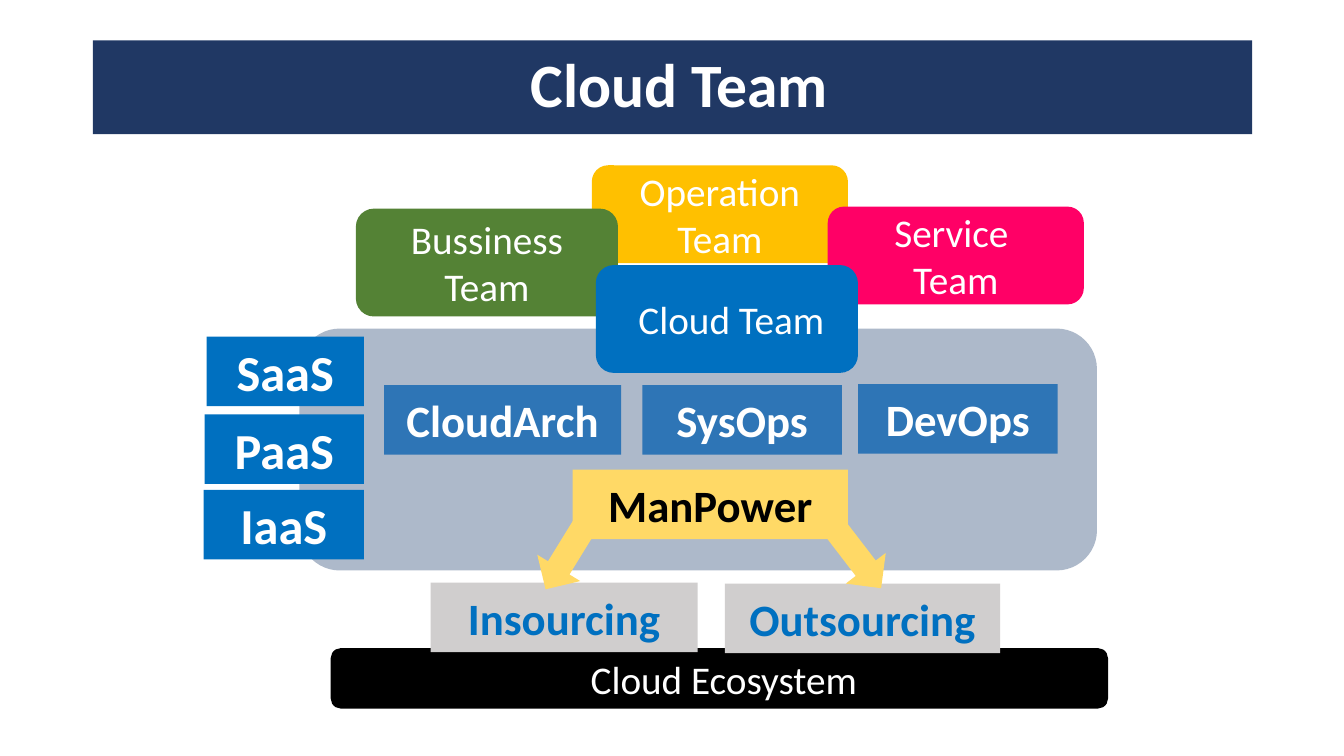
from pptx import Presentation
from pptx.dml.color import RGBColor
from pptx.enum.shapes import MSO_SHAPE
from pptx.enum.text import MSO_ANCHOR, PP_ALIGN
from pptx.util import Inches, Pt

RECT = MSO_SHAPE.RECTANGLE
ROUND = MSO_SHAPE.ROUNDED_RECTANGLE
ARROW = MSO_SHAPE.DOWN_ARROW
MIDDLE = MSO_ANCHOR.MIDDLE
CENTER = PP_ALIGN.CENTER


class Theme:
    font = "Calibri"
    navy, blue, steel = "203864", "0070C0", "2E75B6"
    amber, sand, green, pink = "FFC000", "FFD966", "548235", "FF0066"
    panel, grey, black, white = "ADB9CA", "D0CECE", "000000", "FFFFFF"
    title_size, service_size, role_size, team_size = 44, 36, 32, 28


# Content: text, then left, top, width, height in inches
TITLE = " Cloud Team"
TITLE_BOX = (0.92, 0.4, 11.5, 0.93)
ECOSYSTEM = (" Cloud Ecosystem", (3.28, 6.43, 7.71, 0.6))
OPERATION = ("Operation\nTeam", (5.87, 1.64, 2.54, 0.97))
PANEL_BOX = (2.97, 3.26, 7.91, 2.4)
FRONT_TEAMS = [
    ("Service \nTeam", (8.21, 2.05, 2.54, 0.97), Theme.pink),
    ("Bussiness Team", (3.53, 2.07, 2.6, 1.07), Theme.green),
    (" Cloud Team", (5.91, 2.63, 2.6, 1.07), Theme.blue),
]

# Labels of one height: text, left, top, width
LABEL_HEIGHT = 0.69
SERVICES_RIGHT = 3.61
SERVICES = [("IaaS", 2.02, 4.86), ("PaaS", 2.03, 4.11), ("SaaS", 2.05, 3.34)]
ROLES = [("CloudArch", 3.81, 3.82, 2.35), ("DevOps", 8.51, 3.81, 1.98),
         ("SysOps", 6.37, 3.82, 1.98)]
SOURCING = [("Insourcing", 4.27, 5.78, 2.65), ("Outsourcing", 7.19, 5.79, 2.73)]
MANPOWER = ("ManPower", 5.68, 4.66, 2.73)
ARROWS = [((5.35, 5.18, 0.5, 0.72), 31.6), ((8.27, 5.19, 0.5, 0.72), 322.5)]


def color(code):
    return RGBColor.from_string(code)


def write(shape, text, size, ink=Theme.white, bold=False):
    frame = shape.text_frame
    frame.word_wrap = True
    frame.vertical_anchor = MIDDLE
    para = frame.paragraphs[0]
    para.text = text
    para.alignment = CENTER
    for span in para.runs:
        span.font.name = Theme.font
        span.font.size = Pt(size)
        span.font.bold = bold
        span.font.color.rgb = color(ink)
    return para


def add_box(page, kind, place, fill, text="", rotation=0, **text_format):
    box = page.shapes.add_shape(kind, *map(Inches, place))
    box.shadow.inherit = False
    box.fill.solid()
    box.fill.fore_color.rgb = color(fill)
    box.line.fill.background()
    box.rotation = rotation
    if text:
        write(box, text, **text_format)
    return box


def add_label(page, text, left, top, width, fill, size=Theme.role_size, ink=Theme.white):
    add_box(page, RECT, (left, top, width, LABEL_HEIGHT), fill, text,
            size=size, ink=ink, bold=True)


def add_team(page, text, place, fill):
    add_box(page, ROUND, place, fill, text, size=Theme.team_size)


def main():
    deck = Presentation()
    deck.slide_width, deck.slide_height = Inches(13.33), Inches(7.5)
    page = deck.slides.add_slide(deck.slide_layouts.get_by_name("Title Only"))

    # Title bar
    title = page.shapes.title
    title.left, title.top, title.width, title.height = map(Inches, TITLE_BOX)
    title.fill.solid()
    title.fill.fore_color.rgb = color(Theme.navy)
    para = write(title, TITLE, Theme.title_size, bold=True)
    para.line_spacing = 0.9

    # Shapes behind the rest
    add_team(page, *ECOSYSTEM, Theme.black)
    add_team(page, *OPERATION, Theme.amber)
    add_box(page, ROUND, PANEL_BOX, Theme.panel)

    # Service models share a right edge
    for text, left, top in SERVICES:
        add_label(page, text, left, top, SERVICES_RIGHT - left, Theme.blue,
                  size=Theme.service_size)

    # Roles and sourcing
    for role in ROLES:
        add_label(page, *role, Theme.steel)
    for source in SOURCING:
        add_label(page, *source, Theme.grey, ink=Theme.blue)

    # Teams in front of the panel
    for team in FRONT_TEAMS:
        add_team(page, *team)

    # Manpower and its arrows
    add_label(page, *MANPOWER, Theme.sand, ink=Theme.black)
    for place, angle in ARROWS:
        add_box(page, ARROW, place, Theme.sand, rotation=angle)

    deck.save("out.pptx")


if __name__ == "__main__":
    main()
